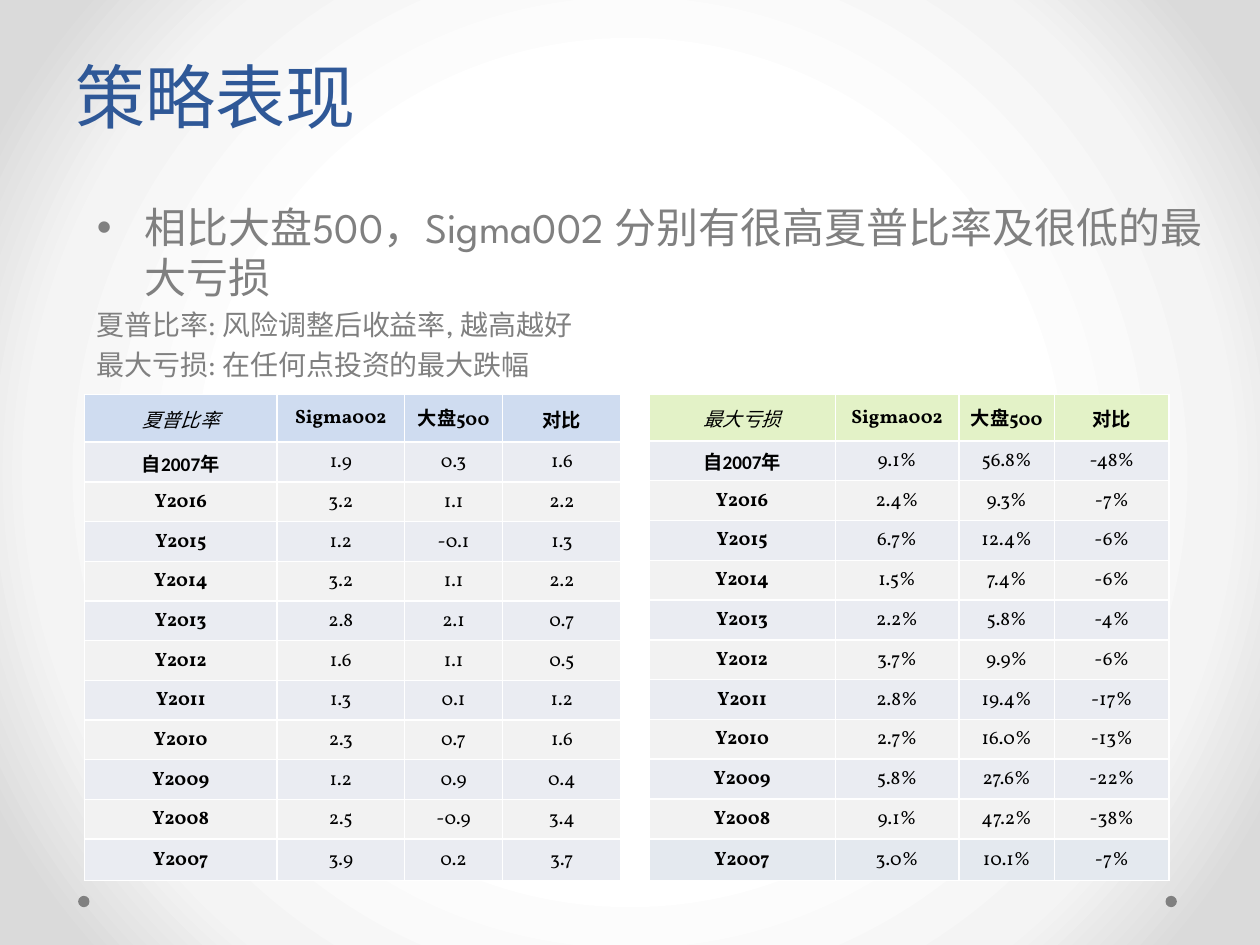
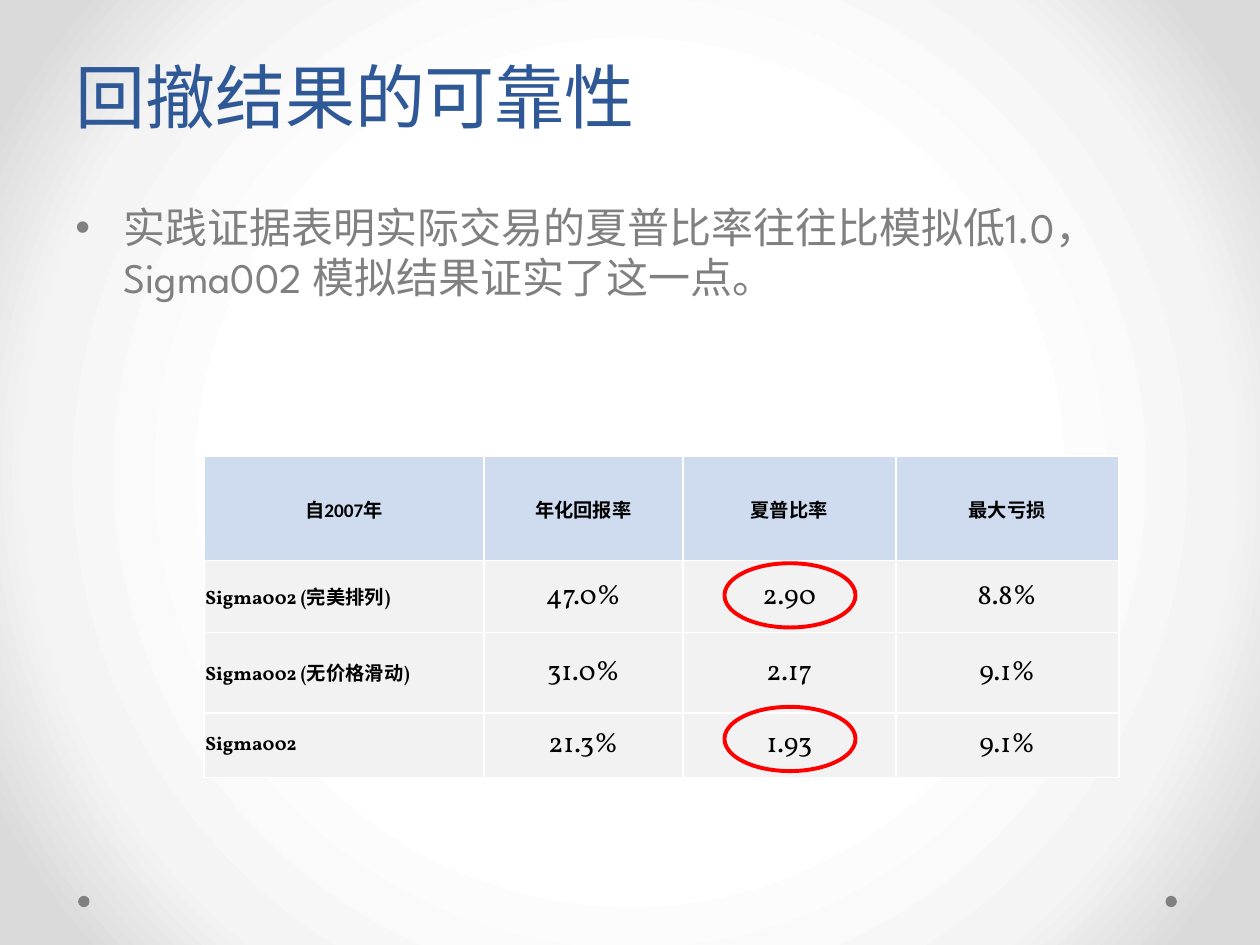
"""Build two slides on strategy performance and the reliability of its results."""
from lxml import etree
from pptx import Presentation
from pptx import util as u
from pptx.dml import color
from pptx.enum import shapes, text
from pptx.oxml import ns, parse_xml

COLORS = {
    "title": "2F5897", "body": "808080", "ink": "000000", "ring": "FF0000",
    "blue": "CFDCF0", "green": "E3F2C7", "band": "EAECF2", "plain": "F2F2F2",
    "last": "E4E9EF", "border": "FFFFFF",
}
BACKDROP = {50: "FFFFFF", 76: "F4F4F4", 92: "DADADA"}
SERIF, SANS, CALIBRI = "Vollkorn", "League Spartan", "Calibri"
COLUMNS, ROWS = 100, 75
WIDTH, HEIGHT = u.Inches(10), u.Inches(7.5)

PERIODS = ["自2007年"] + [f"Y{year}" for year in range(2016, 2006, -1)]
SHARPE = [
    ("1.9", "0.3", "1.6"), ("3.2", "1.1", "2.2"), ("1.2", "-0.1", "1.3"),
    ("3.2", "1.1", "2.2"), ("2.8", "2.1", "0.7"), ("1.6", "1.1", "0.5"),
    ("1.3", "0.1", "1.2"), ("2.3", "0.7", "1.6"), ("1.2", "0.9", "0.4"),
    ("2.5", "-0.9", "3.4"), ("3.9", "0.2", "3.7"),
]
DRAWDOWN = [
    ("9.1%", "56.8%", "-48%"), ("2.4%", "9.3%", "-7%"), ("6.7%", "12.4%", "-6%"),
    ("1.5%", "7.4%", "-6%"), ("2.2%", "5.8%", "-4%"), ("3.7%", "9.9%", "-6%"),
    ("2.8%", "19.4%", "-17%"), ("2.7%", "16.0%", "-13%"), ("5.8%", "27.6%", "-22%"),
    ("9.1%", "47.2%", "-38%"), ("3.0%", "10.1%", "-7%"),
]
RELIABILITY = [
    ("自2007年", "年化回报率", "夏普比率", "最大亏损"),
    ("Sigma002 (完美排列)", "47.0%", "2.90", "8.8%"),
    ("Sigma002 (无价格滑动)", "31.0%", "2.17", "9.1%"),
    ("Sigma002", "21.3%", "1.93", "9.1%"),
]


def across(columns):
    """Turn grid columns into a length."""
    return round(WIDTH * columns / COLUMNS)


def down(rows):
    """Turn grid rows into a length."""
    return round(HEIGHT * rows / ROWS)


def area(left, top, width, height):
    """Turn a grid area into lengths."""
    return across(left), down(top), across(width), down(height)


def write(para, words, *, size=11, font=SERIF, ink="ink", bold=False,
          italic=False, align=text.PP_ALIGN.LEFT):
    """Write formatted text into a paragraph."""
    para.alignment = align
    span = para.add_run()
    span.text = words
    span.font.size = u.Pt(size)
    span.font.name = font
    span.font.bold = bold
    span.font.italic = italic
    span.font.color.rgb = color.RGBColor.from_string(COLORS[ink])


def yearly_format(row, column, words):
    """Give the text format of a cell in a yearly table."""
    return {
        "font": CALIBRI if words in ("对比", PERIODS[0]) else SERIF,
        "bold": (row == 0) != (column == 0),
        "italic": row == column == 0,
        "align": text.PP_ALIGN.CENTER,
    } if row == 0 or column == 0 else {"align": text.PP_ALIGN.CENTER}


def reliability_format(row, column, words):
    """Give the text format of a cell in the reliability table."""
    if row == 0:
        return {"font": CALIBRI, "bold": True, "align": text.PP_ALIGN.CENTER}
    if column == 0:
        return {"bold": True}
    return {"size": 16, "align": text.PP_ALIGN.CENTER}


class Painter:
    """Hold the shared style and the current slide."""

    def __init__(self):
        """Open a deck with the shared backdrop."""
        self.deck = Presentation()
        self.deck.slide_width, self.deck.slide_height = WIDTH, HEIGHT
        self.page = None
        self.backdrop()

    def backdrop(self):
        """Give every slide the round gradient."""
        fill = self.deck.slide_master.background.fill
        fill.solid()
        fill.fore_color.rgb = color.RGBColor.from_string(BACKDROP[50])
        stops = "".join(
            f'<a:gs pos="{place * 1000}"><a:srgbClr val="{tone}"/></a:gs>'
            for place, tone in BACKDROP.items())
        gradient = parse_xml(
            f'<a:gradFill {ns.nsdecls("a")} rotWithShape="1"><a:gsLst>{stops}</a:gsLst>'
            '<a:path path="circle"><a:fillToRect l="50000" t="50000" r="50000" b="50000"/>'
            '</a:path></a:gradFill>')
        solid = next(self.deck.slide_master.element.iter(ns.qn("a:solidFill")))
        solid.getparent().replace(solid, gradient)

    def start(self):
        """Begin a slide with its two footer dots."""
        self.page = self.deck.slides.add_slide(self.deck.slide_layouts[6])
        for left in (92.5, 6.2):
            self.ellipse(left, 71.1, 0.9, 0.9, fill="body")

    def ellipse(self, *place, fill=None, line=None):
        """Draw a filled dot or an outlined ring."""
        shape = self.page.shapes.add_shape(shapes.MSO_SHAPE.OVAL, *area(*place))
        shape.shadow.inherit = False
        if fill:
            shape.fill.solid()
            shape.fill.fore_color.rgb = color.RGBColor.from_string(COLORS[fill])
        else:
            shape.fill.background()
        if line:
            shape.line.color.rgb = color.RGBColor.from_string(COLORS[line])
            shape.line.width = u.Pt(2.25)
        else:
            shape.line.fill.background()

    def frame(self, *place):
        """Add a wrapping text box."""
        box = self.page.shapes.add_textbox(*area(*place))
        box.text_frame.word_wrap = True
        return box.text_frame

    def title(self, words):
        """Write the slide title."""
        frame = self.frame(5, 0, 90, 13.8)
        frame.vertical_anchor = text.MSO_ANCHOR.MIDDLE
        para = frame.paragraphs[0]
        para.line_spacing = u.Pt(58)
        write(para, words, size=40, ink="title")

    def body(self, place, point, remarks=()):
        """Write a bullet point with smaller remarks below it."""
        frame = self.frame(*place)
        for index, words in enumerate((point, *remarks)):
            para = frame.add_paragraph() if index else frame.paragraphs[0]
            size = 16 if index else 24
            para.space_before = u.Pt(size * 0.2)
            write(para, words, size=size, font=SANS, ink="body")
            if index == 0:
                layout = para._p.get_or_add_pPr()
                layout.set("marL", str(across(3.8)))
                layout.set("indent", str(-across(3.8)))
                etree.SubElement(layout, ns.qn("a:buFont")).set("typeface", "Arial")
                etree.SubElement(layout, ns.qn("a:buChar")).set("char", "•")

    def table(self, left, top, widths, heights, records, fills, style):
        """Draw a table with one fill per row and a format rule."""
        place = area(left, top, sum(widths), sum(heights))
        table = self.page.shapes.add_table(len(records), len(widths), *place).table
        table.first_row = table.horz_banding = False
        for column, width in zip(table.columns, widths):
            column.width = across(width)
        for row, (record, height) in enumerate(zip(records, heights)):
            table.rows[row].height = down(height)
            for column, words in enumerate(record):
                cell = table.cell(row, column)
                self.cell(cell, fills[row])
                write(cell.text_frame.paragraphs[0], words, **style(row, column, words))

    def cell(self, cell, fill):
        """Set the margins, fill and borders of a cell."""
        cell.vertical_anchor = text.MSO_ANCHOR.MIDDLE
        cell.margin_left = cell.margin_right = cell.margin_top = u.Inches(0.01)
        cell.margin_bottom = 0
        cell.fill.solid()
        cell.fill.fore_color.rgb = color.RGBColor.from_string(COLORS[fill])
        for index, side in enumerate("LRTB"):
            cell._tc.get_or_add_tcPr().insert(index, parse_xml(
                f'<a:ln{side} {ns.nsdecls("a")} w="{u.Pt(1)}"><a:solidFill>'
                f'<a:srgbClr val="{COLORS["border"]}"/></a:solidFill></a:ln{side}>'))

    def yearly(self, left, widths, heights, measure, figures, head, last):
        """Draw a table that compares one measure year by year."""
        records = [(measure, "Sigma002", "大盘500", "对比")]
        records += [(period, *row) for period, row in zip(PERIODS, figures)]
        fills = [head] + ["band", "plain"] * 5 + [last]
        self.table(left, 31.3, widths, heights, records, fills, yearly_format)


def main():
    """Build and save the deck."""
    painter = Painter()

    painter.start()
    painter.yearly(6.7, (15.3, 10.1, 7.8, 9.4), [3.8] + [3.15] * 10 + [3.3],
                   "夏普比率", SHARPE, "blue", "band")
    painter.yearly(51.5, (14.8, 9.8, 7.6, 9.1), [3.7] + [3.16] * 10 + [3.3],
                   "最大亏损", DRAWDOWN, "green", "last")
    painter.title("策略表现")
    painter.body((6.7, 15.5, 91, 19.2),
                 "相比大盘500，Sigma002 分别有很高夏普比率及很低的最大亏损",
                 ("夏普比率: 风险调整后收益率, 越高越好", "最大亏损: 在任何点投资的最大跌幅"))

    painter.start()
    painter.body((5, 15.5, 90, 49.5),
                 "实践证据表明实际交易的夏普比率往往比模拟低1.0，Sigma002 模拟结果证实了这一点。")
    painter.table(16.2, 36.2, (22.2, 15.8, 16.9, 17.7), (8.3, 5.7, 6.4, 5.1),
                  RELIABILITY, ["blue"] + ["plain"] * 3, reliability_format)
    for top in (44.7, 56.1):
        painter.ellipse(57.5, top, 10.4, 5.1, line="ring")
    painter.title("回撤结果的可靠性")

    painter.deck.save("out.pptx")


if __name__ == "__main__":
    main()
